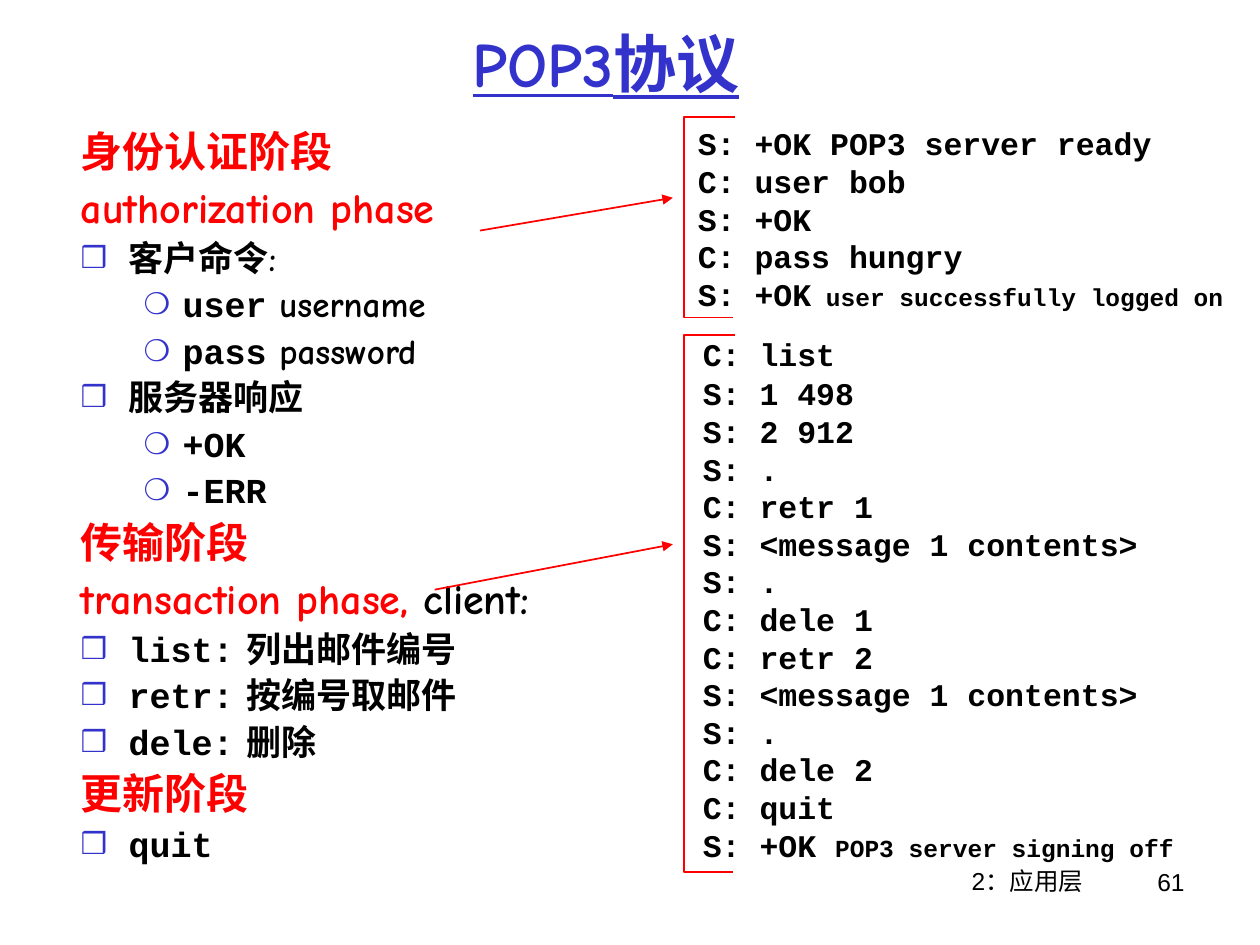
import pptx
import pptx.util
import pptx.dml.color
import pptx.enum.text
import pptx.enum.shapes
import lxml.etree

Inches, Pt = pptx.util.Inches, pptx.util.Pt
Align = pptx.enum.text.PP_ALIGN
hues = {"blue": "3333CC", "red": "FF0000", "black": "000000"}
comic, mono = "Comic Neue", "Courier New"


def style(font, name, size, hue, bold=True):
    font.name, font.size, font.bold = name, Pt(size), bold
    font.color.rgb = pptx.dml.color.RGBColor.from_string(hues[hue])


def add(parent, tag, **attrs):
    return lxml.etree.SubElement(parent, pptx.oxml.ns.qn(tag), attrs)


deck = pptx.Presentation()
deck.slide_width, deck.slide_height = Inches(10), Inches(7.5)
slide = deck.slides.add_slide(deck.slide_layouts[1])
shapes = slide.shapes

title = shapes.title
title.left, title.top = Inches(0.56), Inches(0)
title.width, title.height = Inches(8.5), Inches(0.99)
frame = title.text_frame
frame.auto_size = pptx.enum.text.MSO_AUTO_SIZE.NONE
frame.vertical_anchor = pptx.enum.text.MSO_ANCHOR.MIDDLE
frame.text = "POP3协议"
para = frame.paragraphs[0]
para.alignment = Align.CENTER
style(para.font, comic, 36, "blue")
para.font.underline = True

body = slide.placeholders[1]
body.left, body.top = Inches(0.54), Inches(0.99)
body.width, body.height = Inches(4.34), Inches(6.14)
frame = body.text_frame
frame.auto_size = pptx.enum.text.MSO_AUTO_SIZE.NONE
kinds = {
    "head": (0, 0.38, 0.38, None, 24, "red"),
    "item": (0, 0.38, 0.38, "❒", 20, "black"),
    "sub": (1, 0.81, 0.31, "❍", 20, "black"),
}
outline = [
    ("head", [("身份认证阶段", comic)]),
    ("head", [("authorization phase", comic)]),
    ("item", [("客户命令:", comic)]),
    ("sub", [("user", mono), (" username", comic)]),
    ("sub", [("pass", mono), (" password", comic)]),
    ("item", [("服务器响应", comic)]),
    ("sub", [("+OK", mono)]),
    ("sub", [("-ERR", mono)]),
    ("head", [("传输阶段", comic)]),
    ("head", [("transaction phase, ", comic), ("client:", comic, "black")]),
    ("item", [("list:", mono), (" 列出邮件编号", comic)]),
    ("item", [("retr:", mono), (" 按编号取邮件", comic)]),
    ("item", [("dele:", mono), (" 删除", comic)]),
    ("head", [("更新阶段", comic)]),
    ("item", [("quit", mono)]),
]
for row, (kind, parts) in enumerate(outline):
    level, left, hang, mark, size, hue = kinds[kind]
    para = frame.add_paragraph() if row else frame.paragraphs[0]
    para.level = level
    para.line_spacing = 0.9
    para.space_before = Pt(size / 4 if row else 0)
    props = para._p.get_or_add_pPr()
    props.set("marL", str(Inches(left)))
    props.set("indent", str(-Inches(hang)))
    if mark:
        add(add(props, "a:buClr"), "a:srgbClr", val=hues["blue"])
        add(props, "a:buSzPct", val="85000")
        add(props, "a:buChar", char=mark)
    else:
        add(props, "a:buNone")
    style(para.font, parts[0][1], size, hue)
    for text, name, *tint in parts:
        run = para.add_run()
        run.text = text
        if name != parts[0][1] or tint:
            style(run.font, name, size, tint[0] if tint else hue)

logs = [
    (5.44, 0.94, 1.6, 0, [
        "S: +OK POP3 server ready", "C: user bob", "S: +OK",
        "C: pass hungry", "S: +OK| user successfully logged on"]),
    (5.48, 2.61, 4.3, 1.2, [
        "C: list", "S: 1 498", "S: 2 912", "S: .", "C: retr 1",
        "S: <message 1 contents>", "S: .", "C: dele 1", "C: retr 2",
        "S: <message 1 contents>", "S: .", "C: dele 2", "C: quit",
        "S: +OK |POP3 server signing off"]),
]
for left, top, high, gap, lines in logs:
    box = shapes.add_textbox(Inches(left), Inches(top), Inches(4.5), Inches(high))
    frame = box.text_frame
    frame.word_wrap = True
    for row, line in enumerate(lines):
        para = frame.add_paragraph() if row else frame.paragraphs[0]
        para.line_spacing = Pt(21.5)
        para.space_before = Pt(gap if row == 1 else 0)
        style(para.font, mono, 18, "black")
        for part, text in enumerate(line.split("|")):
            run = para.add_run()
            run.text = text
            if part:
                run.font.size = Pt(14)

red = pptx.dml.color.RGBColor.from_string(hues["red"])
left = 5.43
for top, end in [(0.93, 2.52), (2.66, 6.92)]:
    pen = shapes.build_freeform(Inches(left + 0.4), Inches(top))
    pen.add_line_segments(
        [(Inches(left), Inches(top)), (Inches(left), Inches(end)),
         (Inches(left + 0.39), Inches(end))], close=False)
    brace = pen.convert_to_shape()
    brace.shadow.inherit = False
    brace.fill.background()
    brace.line.color.rgb = red
    brace.line.width = Pt(1)

for x, y, end in [(3.81, 1.83, 1.57), (3.45, 4.68, 4.32)]:
    arrow = shapes.add_connector(
        pptx.enum.shapes.MSO_CONNECTOR.STRAIGHT,
        Inches(x), Inches(y), Inches(5.34), Inches(end))
    arrow.line.color.rgb = red
    arrow.line.width = Pt(1)
    add(arrow.line._get_or_add_ln(), "a:tailEnd", type="triangle")
    add(arrow._element.spPr, "a:effectLst")

for text, left, top, wide, align in [
        ("2：应用层", 6.57, 6.82, 3.17, Align.CENTER),
        ("61", 8.62, 6.83, 0.88, Align.RIGHT)]:
    box = shapes.add_textbox(Inches(left), Inches(top), Inches(wide), Inches(0.52))
    box.text_frame.word_wrap = True
    box.text_frame.text = text
    para = box.text_frame.paragraphs[0]
    para.alignment = align
    style(para.font, "Arial", 14, "black", False)

deck.save("out.pptx")
